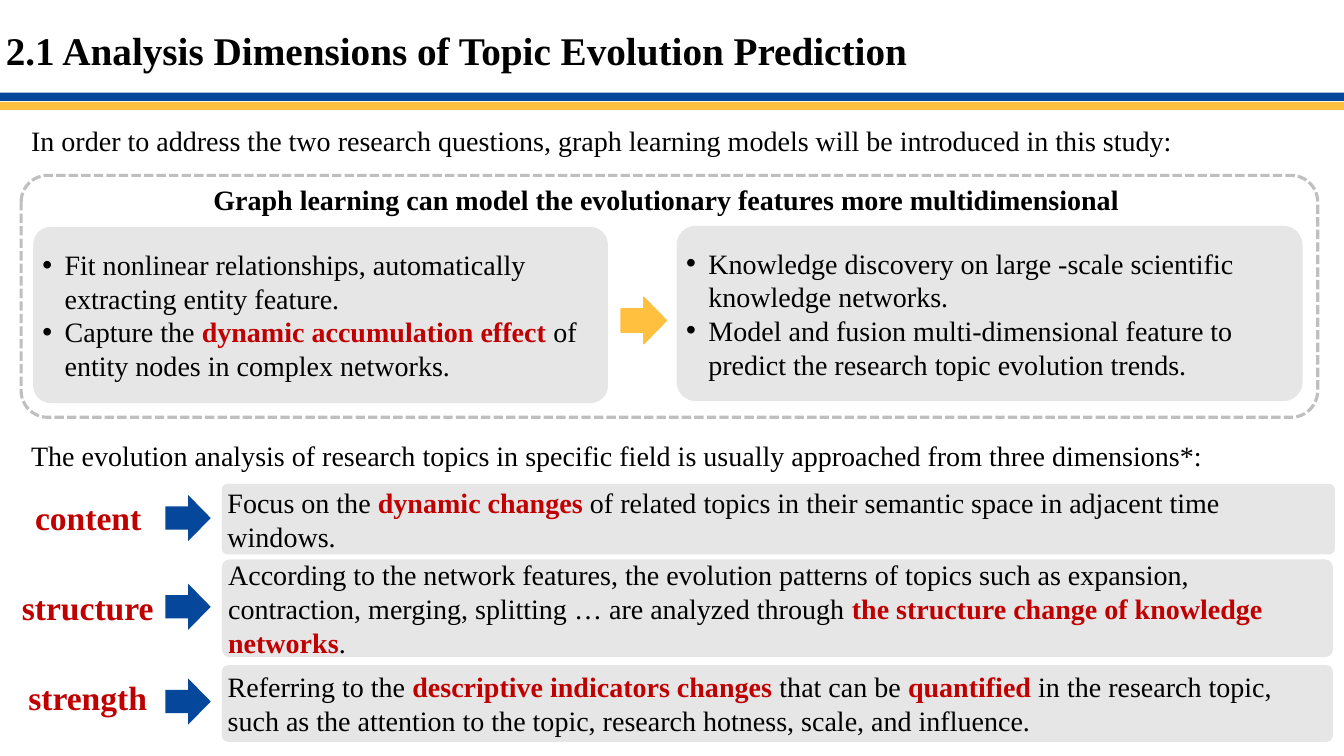
from dataclasses import dataclass
from typing import Optional

from lxml import etree
from pptx import Presentation, util as u
from pptx.dml.color import RGBColor
from pptx.enum import dml, shapes, text
from pptx.oxml import ns

PX = 9144  # EMU per px, 100 px to the inch


@dataclass(frozen=True)
class Theme:
    font: str = "Times New Roman"
    ink: str = "000000"
    accent: str = "C00000"
    blue: str = "05489B"
    gold: str = "FFBF3F"
    panel: str = "E7E6E6"
    frame: str = "BFBFBF"
    title: int = 28
    label: int = 24
    body: int = 20


@dataclass(frozen=True)
class Box:
    left: int
    top: int
    width: int
    height: int

    def emu(self) -> list[int]:
        return [v * PX for v in (self.left, self.top, self.width, self.height)]


@dataclass(frozen=True)
class Label:
    box: Box
    words: str
    size: int
    color: str
    bold: bool = False
    centered: bool = False


@dataclass(frozen=True)
class Panel:
    """A grey card; words between bars are emphasised."""
    box: Box
    radius: float
    paragraphs: tuple[str, ...]
    bulleted: bool = False


@dataclass(frozen=True)
class Dimension:
    label: Box
    name: str
    arrow_top: int
    panel: Box
    description: str


THEME = Theme()
ARROW_LEFT, ARROW_WIDTH, ARROW_HEIGHT = 164, 45, 46

LABELS = (
    Label(Box(-4, 21, 970, 54), "2.1 Analysis Dimensions of Topic Evolution Prediction",
          THEME.title, THEME.ink, bold=True),
    Label(Box(21, 118, 1195, 44),
          "In order to address the two research questions, graph learning models "
          "will be introduced in this study:", THEME.body, THEME.ink),
    Label(Box(80, 176, 1162, 44),
          "Graph learning can model the evolutionary features more multidimensional",
          THEME.body, THEME.ink, bold=True, centered=True),
    Label(Box(21, 430, 1195, 44),
          "The evolution analysis of research topics in specific field is usually "
          "approached from three dimensions*:", THEME.body, THEME.ink),
)

FEATURES = (
    Panel(Box(33, 225, 570, 175), 0.1, (
        "Fit nonlinear relationships, automatically extracting entity feature.",
        "Capture the |dynamic accumulation effect |of entity nodes in complex networks.",
    ), bulleted=True),
    Panel(Box(671, 224, 621, 174), 0.11, (
        "Knowledge discovery on large -scale scientific knowledge networks.",
        "Model and fusion multi-dimensional feature to predict the research topic "
        "evolution trends.",
    ), bulleted=True),
)

DIMENSIONS = (
    Dimension(Box(19, 488, 137, 50), "content", 491, Box(220, 480, 1104, 70),
              "Focus on the |dynamic changes| of related topics in their semantic "
              "space in adjacent time windows."),
    Dimension(Box(5, 577, 164, 50), "structure", 579, Box(220, 555, 1102, 97),
              "According to the network features, the evolution patterns of topics such "
              "as expansion, contraction, merging, splitting … are analyzed through "
              "|the structure change of knowledge networks|."),
    Dimension(Box(5, 667, 164, 50), "strength", 673, Box(220, 660, 1102, 76),
              "Referring to the |descriptive indicators changes| that can be "
              "|quantified |in the research topic, such as the attention to the topic, "
              "research hotness, scale, and influence."),
)


def style(run, size: int, color: str, bold: bool) -> None:
    run.font.name = THEME.font
    run.font.size = u.Pt(size)
    run.font.bold = bold
    run.font.color.rgb = RGBColor.from_string(color)


def add_label(slide, label: Label) -> None:
    frame = slide.shapes.add_textbox(*label.box.emu()).text_frame
    frame.word_wrap = True
    frame.text = label.words
    paragraph = frame.paragraphs[0]
    if label.centered:
        paragraph.alignment = text.PP_ALIGN.CENTER
    style(paragraph.runs[0], label.size, label.color, label.bold)


def add_block(slide, kind: shapes.MSO_SHAPE, box: Box, fill: Optional[str]):
    """Add a shape without outline or shadow."""
    block = slide.shapes.add_shape(kind, *box.emu())
    block.shadow.inherit = False
    block.line.fill.background()
    if fill is None:
        block.fill.background()
    else:
        block.fill.solid()
        block.fill.fore_color.rgb = RGBColor.from_string(fill)
    return block


def outline(block, color: str, width: float) -> None:
    block.line.color.rgb = RGBColor.from_string(color)
    block.line.width = u.Pt(width)


def add_bullet(paragraph) -> None:
    properties = paragraph._p.get_or_add_pPr()
    properties.set("marL", str(22 * PX))
    properties.set("indent", str(-22 * PX))
    etree.SubElement(properties, ns.qn("a:buFont")).set("typeface", "Arial")
    etree.SubElement(properties, ns.qn("a:buChar")).set("char", "•")


def add_panel(slide, panel: Panel) -> None:
    card = add_block(slide, shapes.MSO_SHAPE.ROUNDED_RECTANGLE, panel.box, THEME.panel)
    card.adjustments[0] = panel.radius
    frame = card.text_frame
    frame.word_wrap = True
    frame.vertical_anchor = text.MSO_ANCHOR.MIDDLE
    frame.margin_left = frame.margin_right = 4 * PX
    frame.margin_top = frame.margin_bottom = 2 * PX
    for index, words in enumerate(panel.paragraphs):
        paragraph = frame.add_paragraph() if index else frame.paragraphs[0]
        if panel.bulleted:
            add_bullet(paragraph)
        paragraph.alignment = text.PP_ALIGN.LEFT
        for position, part in enumerate(words.split("|")):
            emphasised = position % 2 == 1
            run = paragraph.add_run()
            run.text = part
            style(run, THEME.body, THEME.accent if emphasised else THEME.ink, emphasised)


def add_arrow(slide, left: int, top: int, color: str):
    box = Box(left, top, ARROW_WIDTH, ARROW_HEIGHT)
    return add_block(slide, shapes.MSO_SHAPE.RIGHT_ARROW, box, color)


def add_dimension(slide, dimension: Dimension) -> None:
    add_label(slide, Label(dimension.label, dimension.name, THEME.label, THEME.accent,
                           bold=True, centered=True))
    add_arrow(slide, ARROW_LEFT, dimension.arrow_top, THEME.blue)
    add_panel(slide, Panel(dimension.panel, 0.08, (dimension.description,)))


def main() -> None:
    deck = Presentation()
    deck.slide_width, deck.slide_height = 1333 * PX, 750 * PX
    slide = deck.slides.add_slide(deck.slide_layouts[6])

    for top, color in ((101, THEME.gold), (92, THEME.blue)):
        add_block(slide, shapes.MSO_SHAPE.RECTANGLE, Box(0, top, 1333, 8), color)

    border = add_block(slide, shapes.MSO_SHAPE.ROUNDED_RECTANGLE,
                       Box(21, 174, 1286, 240), None)
    border.adjustments[0] = 0.11
    outline(border, THEME.frame, 2.25)
    border.line.dash_style = dml.MSO_LINE.SQUARE_DOT

    for panel in FEATURES:
        add_panel(slide, panel)
    outline(add_arrow(slide, 616, 295, THEME.gold), THEME.gold, 1)
    for dimension in DIMENSIONS:
        add_dimension(slide, dimension)
    for label in LABELS:
        add_label(slide, label)

    deck.save("out.pptx")


if __name__ == "__main__":
    main()
